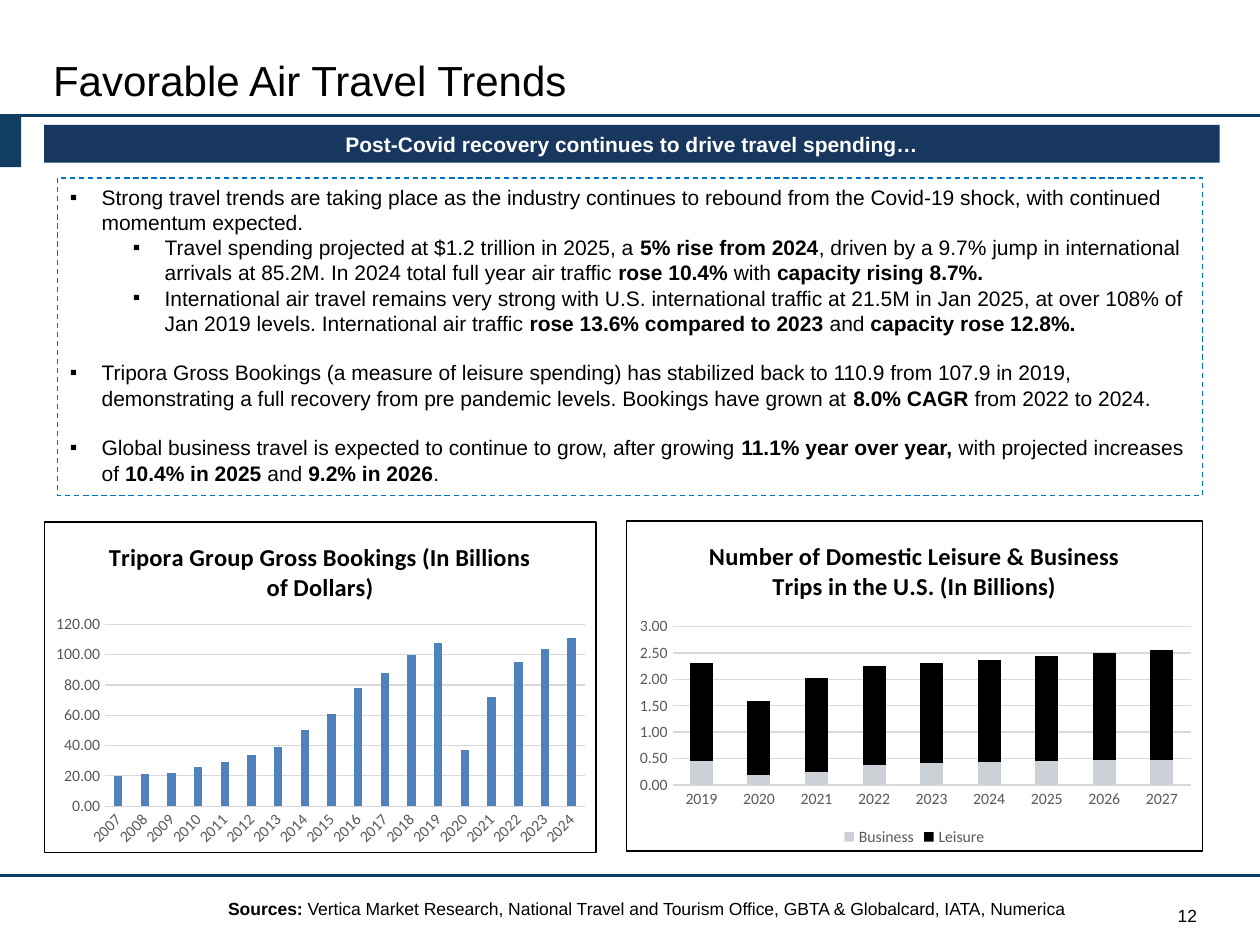
import lxml.etree
import pptx
import pptx.chart.data
import pptx.dml.color
import pptx.enum.chart
import pptx.enum.dml
import pptx.enum.shapes
import pptx.enum.text
import pptx.oxml
import pptx.oxml.ns
import pptx.util
from pptx.util import Cm

COLORS = {
    "navy": "113D63", "banner": "17375E", "dash": "0070C0", "black": "000000",
    "white": "FFFFFF", "grid": "D9D9D9", "axis": "595959",
    "business": "CCD1D7", "bookings": "4F81BD",
}
ALIGN = pptx.enum.text.PP_ALIGN
ANCHOR = pptx.enum.text.MSO_ANCHOR
CHART_TYPE = pptx.enum.chart.XL_CHART_TYPE
qn = pptx.oxml.ns.qn
nsdecls = pptx.oxml.ns.nsdecls

BULLETS = [
    (0, 0, "Strong travel trends are taking place as the industry continues to rebound from the Covid-19 shock, with continued momentum expected."),
    (1, 0, "Travel spending projected at $1.2 trillion in 2025, a *5% rise from 2024*, driven by a 9.7% jump in international arrivals at 85.2M. In 2024 total full year air traffic *rose 10.4%* with *capacity rising 8.7%.*"),
    (1, 0, "International air travel remains very strong with U.S. international traffic at 21.5M in Jan 2025, at over 108% of Jan 2019 levels. International air traffic *rose 13.6% compared to 2023 *and *capacity rose 12.8%.*"),
    (0, 14, "Tripora Gross Bookings (a measure of leisure spending) has stabilized back to 110.9 from 107.9 in 2019, demonstrating a full recovery from pre pandemic levels. Bookings have grown at* 8.0% CAGR *from 2022 to 2024."),
    (0, 14, "Global business travel is expected to continue to grow, after growing *11.1% year over year, *with projected increases of *10.4% in 2025* and *9.2% in 2026*."),
]


def rgb(name):
    return pptx.dml.color.RGBColor.from_string(COLORS[name])


class SlideBuilder:
    text_font = "Arial"
    chart_font = "Calibri"

    def __init__(self, slide):
        self.slide = slide

    def style_font(self, font, size, color="black", bold=False, name=None):
        font.name = name or self.text_font
        font.size = pptx.util.Pt(size)
        font.bold = bold
        font.color.rgb = rgb(color)

    def add_runs(self, paragraph, marked_text, size, color="black"):
        for index, part in enumerate(marked_text.split("*")):
            if part:
                run = paragraph.add_run()
                run.text = part
                self.style_font(run.font, size, color, index % 2 == 1)

    def rule(self, top):
        connector = self.slide.shapes.add_connector(
            pptx.enum.shapes.MSO_CONNECTOR.STRAIGHT, Cm(0), Cm(top), Cm(25.4), Cm(top))
        connector.line.color.rgb = rgb("navy")
        connector.line.width = pptx.util.Pt(1.75)
        properties = connector._element.spPr
        lxml.etree.SubElement(properties, qn("a:effectLst"))

    def box(self, left, top, width, height, fill=None, dash=None):
        shape = self.slide.shapes.add_shape(
            pptx.enum.shapes.MSO_SHAPE.RECTANGLE, Cm(left), Cm(top), Cm(width), Cm(height))
        shape.shadow.inherit = False
        if fill:
            shape.fill.solid()
            shape.fill.fore_color.rgb = rgb(fill)
        else:
            shape.fill.background()
        if dash:
            shape.line.color.rgb = rgb(dash)
            shape.line.width = pptx.util.Pt(0.75)
            shape.line.dash_style = pptx.enum.dml.MSO_LINE.DASH
        else:
            shape.line.fill.background()
        return shape

    def banner(self, left, top, width, height, text):
        shape = self.box(left, top, width, height, "banner")
        shape.text_frame.text = text
        paragraph = shape.text_frame.paragraphs[0]
        paragraph.alignment = ALIGN.CENTER
        self.style_font(paragraph.runs[0].font, 12, "white", True)

    def bullet_box(self, left, top, width, height, bullets):
        shape = self.box(left, top, width, height, dash="dash")
        frame = shape.text_frame
        frame.word_wrap = True
        frame.vertical_anchor = ANCHOR.TOP
        for index, (level, gap, text) in enumerate(bullets):
            paragraph = frame.add_paragraph() if index else frame.paragraphs[0]
            paragraph.level = level
            paragraph.alignment = ALIGN.LEFT
            paragraph.space_before = pptx.util.Pt(gap)
            properties = paragraph._p.get_or_add_pPr()
            properties.set("marL", str(Cm(0.64 + 1.27 * level)))
            properties.set("indent", str(-Cm(0.64)))
            lxml.etree.SubElement(properties, qn("a:buFont"), typeface=self.text_font)
            lxml.etree.SubElement(properties, qn("a:buChar"), char="▪")
            self.add_runs(paragraph, text, 12)

    def text(self, left, top, width, height, text, size, align=ALIGN.LEFT, anchor=ANCHOR.TOP):
        frame = self.slide.shapes.add_textbox(Cm(left), Cm(top), Cm(width), Cm(height)).text_frame
        frame.word_wrap = True
        frame.vertical_anchor = anchor
        frame.margin_left = frame.margin_right = frame.margin_top = frame.margin_bottom = 0
        frame.paragraphs[0].alignment = align
        self.add_runs(frame.paragraphs[0], text, size)

    def column_chart(self, kind, bounds, title, years, series, maximum, step, gap, overlap, layout):
        data = pptx.chart.data.CategoryChartData(number_format="#,##0.00")
        data.categories = [str(year) for year in years]
        for name, values, _ in series:
            data.add_series(name, values)
        chart = self.slide.shapes.add_chart(kind, *(Cm(value) for value in bounds), data).chart
        self.style_font(chart.font, 10, name=self.chart_font)
        chart.has_title = True
        chart.chart_title.text_frame.text = title
        title_run = chart.chart_title.text_frame.paragraphs[0].runs[0]
        self.style_font(title_run.font, 14, bold=True, name=self.chart_font)
        chart.chart_title.include_in_layout = False
        plot = chart.plots[0]
        plot.vary_by_categories = False
        plot.gap_width = gap
        plot.overlap = overlap
        for drawn, (_, _, color) in zip(plot.series, series):
            drawn.format.fill.solid()
            drawn.format.fill.fore_color.rgb = rgb(color)
        chart.has_legend = len(series) > 1
        if chart.has_legend:
            chart.legend.position = pptx.enum.chart.XL_LEGEND_POSITION.BOTTOM
            chart.legend.include_in_layout = False
            self.style_font(chart.legend.font, 9, "axis", name=self.chart_font)
        self.style_axes(chart, maximum, step)
        self.frame_chart(chart, layout)
        return chart

    def style_axes(self, chart, maximum, step):
        for axis in (chart.category_axis, chart.value_axis):
            axis.major_tick_mark = axis.minor_tick_mark = pptx.enum.chart.XL_TICK_MARK.NONE
            self.style_font(axis.tick_labels.font, 9, "axis", name=self.chart_font)
        value_axis = chart.value_axis
        value_axis.minimum_scale = 0
        value_axis.maximum_scale = maximum
        value_axis.major_unit = step
        value_axis.tick_labels.number_format = "#,##0.00"
        value_axis.tick_labels.number_format_is_linked = False
        value_axis.format.line.fill.background()
        for line in (chart.category_axis.format.line, value_axis.major_gridlines.format.line):
            line.color.rgb = rgb("grid")
            line.width = pptx.util.Pt(0.75)

    def frame_chart(self, chart, layout):
        chart_element = chart._chartSpace.find(qn("c:chart"))
        chart_element.addnext(pptx.oxml.parse_xml(
            f'<c:spPr {nsdecls("c", "a")}><a:solidFill><a:srgbClr val="{COLORS["white"]}"/></a:solidFill>'
            f'<a:ln w="9525"><a:solidFill><a:srgbClr val="{COLORS["black"]}"/></a:solidFill></a:ln></c:spPr>'))
        plot_area = chart_element.find(qn("c:plotArea"))
        for old_layout in plot_area.findall(qn("c:layout")):
            plot_area.remove(old_layout)
        settings = [("layoutTarget", "inner"), ("xMode", "edge"), ("yMode", "edge"), *zip("xywh", layout)]
        body = "".join(f'<c:{tag} val="{value}"/>' for tag, value in settings)
        plot_area.insert(0, pptx.oxml.parse_xml(
            f'<c:layout {nsdecls("c")}><c:manualLayout>{body}</c:manualLayout></c:layout>'))


def main():
    presentation = pptx.Presentation()
    presentation.slide_width = Cm(25.4)
    presentation.slide_height = Cm(19.05)
    builder = SlideBuilder(presentation.slides.add_slide(presentation.slide_layouts[6]))
    for top in (2.33, 17.65):
        builder.rule(top)
    builder.box(0, 2.33, 0.43, 1.04, "navy")
    builder.text(1.07, 1.09, 22.86, 1.02, "Favorable Air Travel Trends", 24, anchor=ANCHOR.MIDDLE)
    builder.banner(0.89, 2.52, 23.7, 0.76, "Post-Covid recovery continues to drive travel spending…")
    builder.bullet_box(1.16, 3.59, 23.09, 6.4, BULLETS)
    bookings = [20, 21, 22, 26, 29, 34, 39, 50, 61, 78, 88, 100, 108, 37, 72, 95, 104, 111]
    bookings_chart = builder.column_chart(
        CHART_TYPE.COLUMN_CLUSTERED, (0.88, 10.51, 11.15, 6.69),
        "Tripora Group Gross Bookings (In Billions of Dollars)", range(2007, 2025),
        [("Series 1", bookings, "bookings")], 120, 20, 219, -27, (0.11, 0.31, 0.87, 0.55))
    bookings_chart.category_axis._element.find(qn("c:txPr")).find(qn("a:bodyPr")).set("rot", "-2700000")
    business = [0.46, 0.18, 0.25, 0.37, 0.41, 0.44, 0.46, 0.47, 0.48]
    leisure = [1.85, 1.4, 1.77, 1.88, 1.9, 1.93, 1.98, 2.02, 2.07]
    builder.column_chart(
        CHART_TYPE.COLUMN_STACKED, (12.62, 10.49, 11.63, 6.68),
        "Number of Domestic Leisure & Business Trips in the U.S. (In Billions)", range(2019, 2028),
        [("Business", business, "business"), ("Leisure", leisure, "black")],
        3, 0.5, 150, 100, (0.08, 0.32, 0.9, 0.48))
    builder.text(4.6, 18.11, 17.17, 0.43, "*Sources: *Vertica Market Research, National Travel and Tourism Office, GBTA & Globalcard, IATA, Numerica", 10)
    builder.text(18.21, 18.24, 5.92, 0.43, "12", 10, ALIGN.RIGHT, ANCHOR.BOTTOM)
    presentation.save("out.pptx")


if __name__ == "__main__":
    main()
